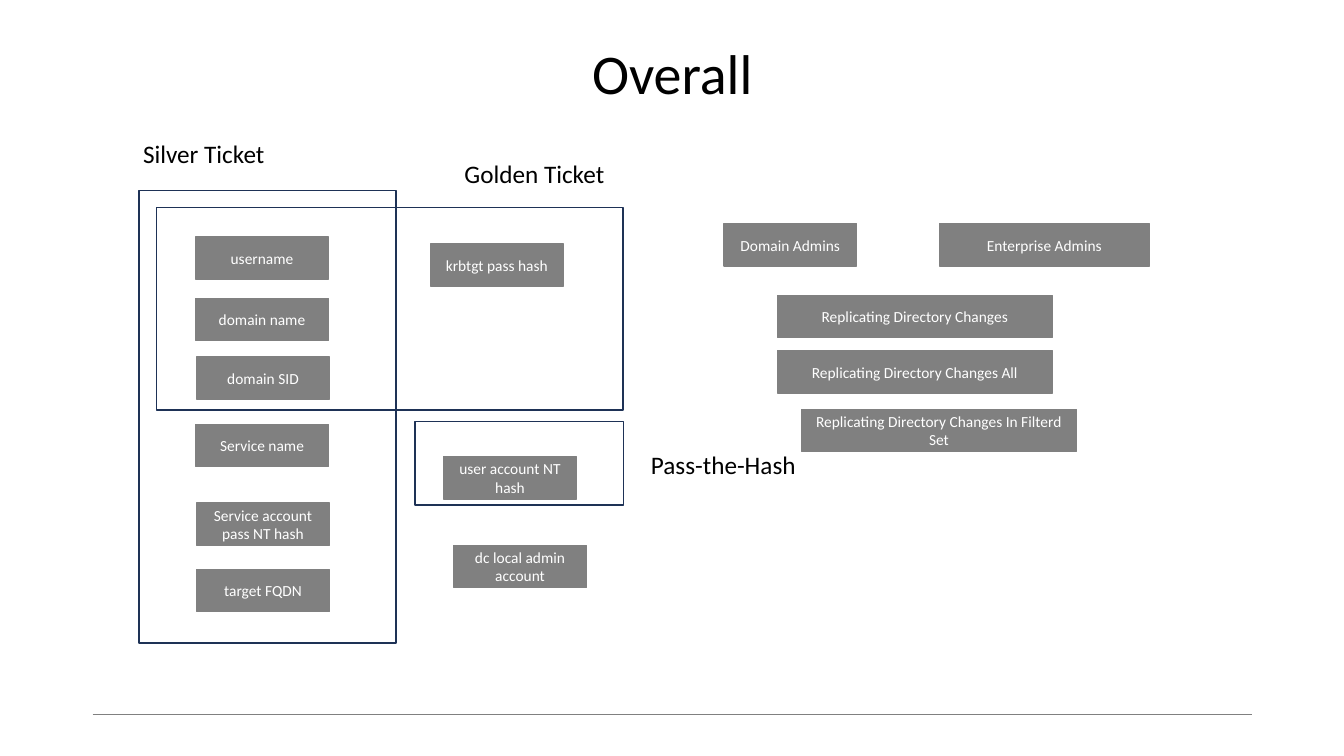
from pptx import Presentation
from pptx.dml.color import RGBColor
from pptx.enum.shapes import MSO_CONNECTOR as Connector, MSO_SHAPE as Shape
from pptx.enum.text import MSO_ANCHOR as Anchor, PP_ALIGN as Align
from pptx.oxml.ns import qn
from pptx.util import Pt
from lxml.etree import SubElement

GRAY = RGBColor(0x80, 0x80, 0x80)
NAVY = RGBColor(0x1E, 0x32, 0x56)
WHITE = RGBColor(0xFF, 0xFF, 0xFF)
BLACK = RGBColor(0, 0, 0)
FONT = "Calibri"
ITEM_WIDTH, ITEM_HEIGHT = 95, 30.2
LABEL_WIDTH, LABEL_HEIGHT = 213.1, 27.4


def write_text(holder, text, size=11, color=WHITE, align=Align.CENTER,
               anchor=Anchor.MIDDLE, spacing=1.0):
    """Put one formatted paragraph into a shape or text box."""
    frame = holder.text_frame
    frame.word_wrap = True
    frame.vertical_anchor = anchor
    paragraph = frame.paragraphs[0]
    paragraph.alignment = align
    paragraph.line_spacing = spacing
    run = paragraph.add_run()
    run.text = text
    run.font.name = FONT
    run.font.size = Pt(size)
    run.font.color.rgb = color


def add_box(slide, left, top, width, height, outline):
    """Add an unfilled rectangle with a thin outline."""
    box = slide.shapes.add_shape(Shape.RECTANGLE, Pt(left), Pt(top), Pt(width), Pt(height))
    box.shadow.inherit = False
    box.fill.background()
    box.line.color.rgb = outline
    box.line.width = Pt(1)
    return box


def add_item(slide, text, left, top, width=ITEM_WIDTH):
    """Add a gray box naming one ingredient."""
    item = add_box(slide, left, top, width, ITEM_HEIGHT, GRAY)
    item.fill.solid()
    item.fill.fore_color.rgb = GRAY
    write_text(item, text)


def add_header(slide, left, top, width, height):
    """Add the slide title."""
    title = slide.shapes.add_textbox(Pt(left), Pt(top), Pt(width), Pt(height))
    write_text(title, "Overall", size=40, color=BLACK, spacing=0.9)


def add_footer(slide, left, top, width):
    """Add the rule at the foot of the slide."""
    rule = slide.shapes.add_connector(
        Connector.STRAIGHT, Pt(left), Pt(top), Pt(left + width), Pt(top))
    rule.line.color.rgb = GRAY
    rule.line.width = Pt(1)
    SubElement(rule._element.spPr, qn("a:effectLst"))


def add_attack(slide, name, box, label_offset, items):
    """Add an attack's frame, its label and the ingredients it needs."""
    left, top, width, height = box
    for text, dx, dy in items:
        add_item(slide, text, left + dx, top + dy)
    add_box(slide, left, top, width, height, NAVY)
    label_dx, label_dy = label_offset
    label = slide.shapes.add_textbox(
        Pt(left + label_dx), Pt(top + label_dy), Pt(LABEL_WIDTH), Pt(LABEL_HEIGHT))
    write_text(label, name, size=18, color=BLACK, align=Align.LEFT,
               anchor=Anchor.TOP, spacing=0.9)


def add_replication_rights(slide, left, top):
    """Add the admin groups and the replication rights below them."""
    rights = [
        ("Domain Admins", 0, 0, ITEM_WIDTH),
        ("Enterprise Admins", 154.1, 0, 149.8),
        ("Replicating Directory Changes", 38.2, 51.1, 196.6),
        ("Replicating Directory Changes All", 38.2, 90.7, 196.6),
        ("Replicating Directory Changes In Filterd Set", 55.4, 132.5, 196.6),
    ]
    for text, dx, dy, width in rights:
        add_item(slide, text, left + dx, top + dy, width)


def main():
    """Build and save the overview slide."""
    deck = Presentation()
    deck.slide_width, deck.slide_height = Pt(960), Pt(540)
    slide = deck.slides.add_slide(deck.slide_layouts[6])

    add_footer(slide, 66.2, 510.5, 828)
    add_header(slide, 66.2, 28.8, 828, 51.8)
    add_attack(slide, "Silver Ticket", (99.4, 136.1, 183.6, 323.3), (-4.3, -38.2), [
        ("username", 40.3, 33.1),
        ("domain name", 40.3, 77),
        ("domain SID", 41, 118.8),
        ("Service name", 40.3, 167),
        ("Service account pass NT hash", 41, 223.2),
        ("target FQDN", 41, 270.7),
    ])
    add_attack(slide, "Golden Ticket", (111.6, 148.3, 333.4, 144.7), (213.1, -36),
               [("krbtgt pass hash", 195.8, 25.9)])
    add_item(slide, "dc local admin account", 324, 389.5)
    add_attack(slide, "Pass-the-Hash", (296.6, 301, 149, 59.8), (161.3, 18.7),
               [("user account NT hash", 20.2, 25.2)])
    add_replication_rights(slide, 517, 159.8)

    deck.save("out.pptx")


if __name__ == "__main__":
    main()
